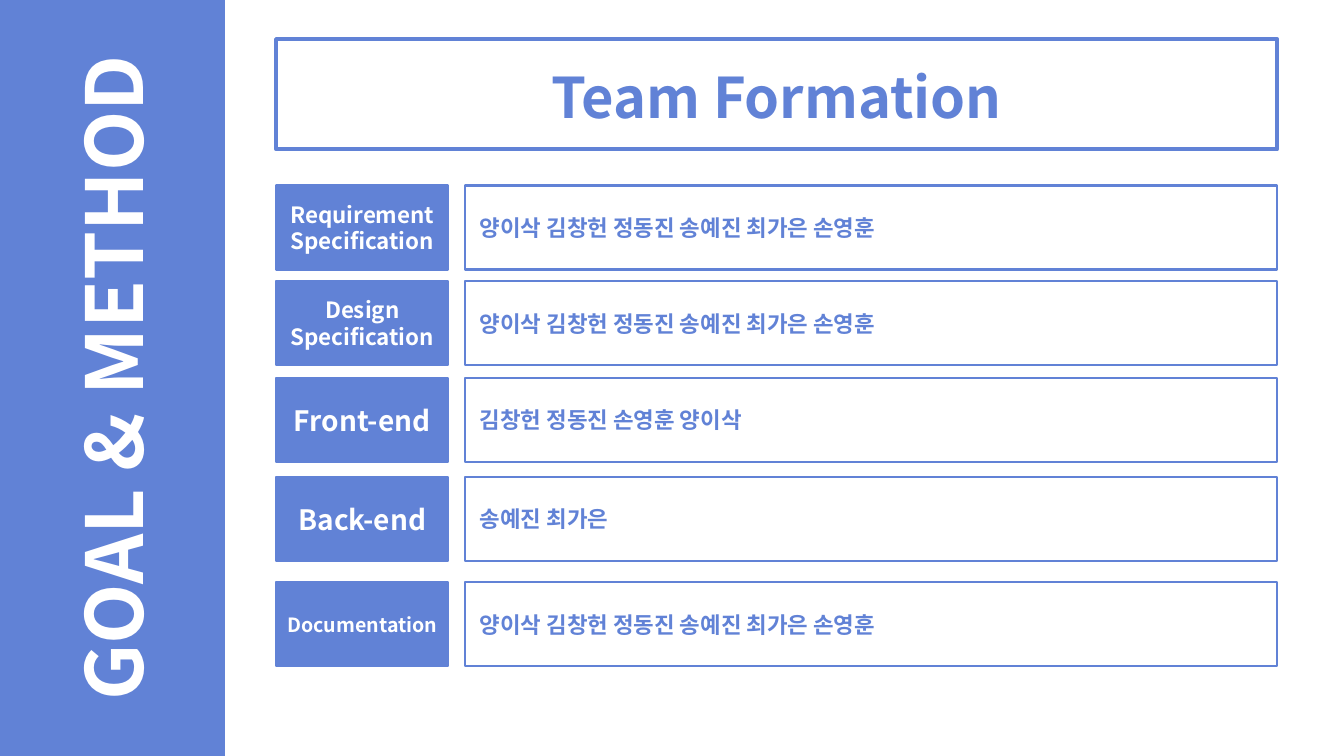
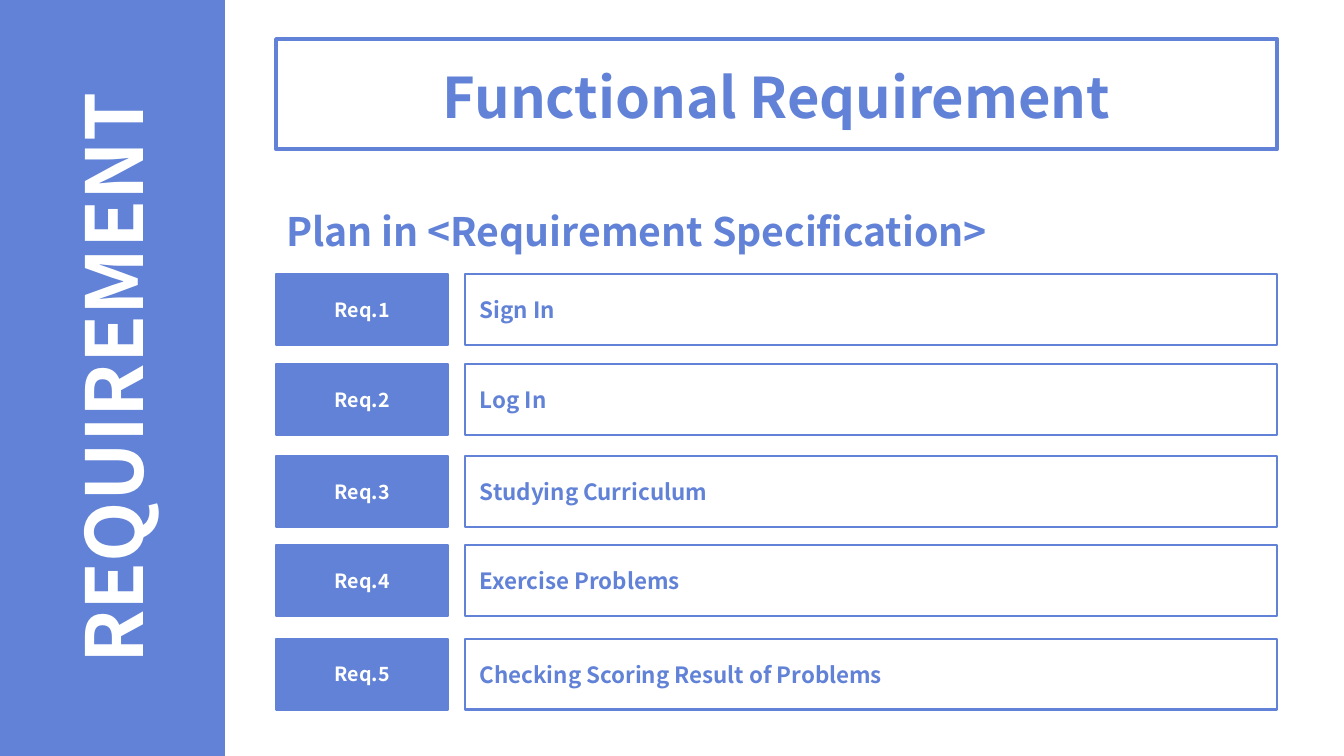
from lxml import etree
from pptx import Presentation
from pptx.dml.color import RGBColor
from pptx.enum.shapes import MSO_SHAPE
from pptx.enum.text import MSO_ANCHOR, PP_ALIGN
from pptx.oxml.ns import qn
from pptx.util import Pt

RECTANGLE = MSO_SHAPE.RECTANGLE
TOP, MIDDLE = MSO_ANCHOR.TOP, MSO_ANCHOR.MIDDLE
LEFT, CENTER = PP_ALIGN.LEFT, PP_ALIGN.CENTER

FONT = "Noto Sans CJK KR"
BLUE = "6182D6"
WHITE = "FFFFFF"

SLIDE_WIDTH, SLIDE_HEIGHT = 960, 540
BAND_WIDTH = 160
CONTENT_LEFT, CONTENT_WIDTH = 197.3, 715
LABEL_WIDTH = 123
VALUE_LEFT = 332
VALUE_WIDTH = CONTENT_LEFT + CONTENT_WIDTH - VALUE_LEFT

EVERYONE = "양이삭 김창헌 정동진 송예진 최가은 손영훈"

SLIDES = [
    {
        "section": "GOAL & METHOD",
        "heading": "Team Formation",
        "subheading": None,
        "row_height": 60,
        "rows": [
            (132.5, "Requirement\nSpecification", 16, EVERYONE),
            (200.9, "Design\nSpecification", 16, EVERYONE),
            (270, "Front-end", 20, "김창헌 정동진 손영훈 양이삭"),
            (340.6, "Back-end", 20, "송예진 최가은"),
            (416, "Documentation", 14, EVERYONE),
        ],
    },
    {
        "section": "REQUIREMENT",
        "heading": "Functional Requirement",
        "subheading": "Plan in <Requirement Specification>",
        "row_height": 50.5,
        "rows": [
            (195.8, "Req.1", 14, "Sign In"),
            (260, "Req.2", 14, "Log In"),
            (325.7, "Req.3", 14, "Studying Curriculum"),
            (389.5, "Req.4", 14, "Exercise Problems"),
            (456.3, "Req.5", 14, "Checking Scoring Result of Problems"),
        ],
    },
]


def add_rectangle(slide, left, top, width, height, fill=None, line_width=1.5):
    shape = slide.shapes.add_shape(RECTANGLE, Pt(left), Pt(top), Pt(width), Pt(height))
    shape.shadow.inherit = False
    if fill:
        shape.fill.solid()
        shape.fill.fore_color.rgb = RGBColor.from_string(fill)
    else:
        shape.fill.background()
    shape.line.color.rgb = RGBColor.from_string(BLUE)
    shape.line.width = Pt(line_width)
    return shape


def write_text(shape, text, size, color=BLUE, align=CENTER, anchor=MIDDLE,
               margin=7.2, line_spacing=None, space_before=None):
    frame = shape.text_frame
    frame.word_wrap = True
    frame.vertical_anchor = anchor
    frame.margin_left = frame.margin_right = Pt(margin)
    frame.text = text
    for paragraph in frame.paragraphs:
        paragraph.alignment = align
        if line_spacing:
            paragraph.line_spacing = line_spacing
        if space_before:
            paragraph.space_before = Pt(space_before)
        for run in paragraph.runs:
            run.font.size = Pt(size)
            run.font.bold = True
            run.font.color.rgb = RGBColor.from_string(color)
            run.font.name = FONT
            east_asian = etree.SubElement(run.font._element, qn("a:ea"))
            east_asian.set("typeface", FONT)


presentation = Presentation()
presentation.slide_width = Pt(SLIDE_WIDTH)
presentation.slide_height = Pt(SLIDE_HEIGHT)
blank_layout = presentation.slide_layouts[6]

for content in SLIDES:
    slide = presentation.slides.add_slide(blank_layout)

    add_rectangle(slide, 0, 0, BAND_WIDTH, SLIDE_HEIGHT, fill=BLUE)
    add_rectangle(slide, CONTENT_LEFT, 28, CONTENT_WIDTH, 78.7, line_width=3)

    offset = (SLIDE_HEIGHT - BAND_WIDTH) / 2
    section = slide.shapes.add_textbox(
        Pt(-offset), Pt(offset), Pt(SLIDE_HEIGHT), Pt(BAND_WIDTH))
    section.rotation = 270
    write_text(section, content["section"], 56, color=WHITE)

    heading = slide.shapes.add_textbox(
        Pt(CONTENT_LEFT), Pt(41), Pt(CONTENT_WIDTH), Pt(55))
    write_text(heading, content["heading"], 40, anchor=TOP)

    if content["subheading"]:
        subheading = slide.shapes.add_textbox(
            Pt(CONTENT_LEFT), Pt(128), Pt(CONTENT_WIDTH), Pt(60.5))
        write_text(subheading, content["subheading"], 28, align=LEFT, anchor=TOP,
                   line_spacing=1.5, space_before=5.6)

    height = content["row_height"]
    for top, label_text, label_size, value_text in content["rows"]:
        label = add_rectangle(slide, CONTENT_LEFT, top, LABEL_WIDTH, height, fill=BLUE)
        write_text(label, label_text, label_size, color=WHITE, margin=3.6)
        value = add_rectangle(slide, VALUE_LEFT, top, VALUE_WIDTH, height, fill=WHITE)
        write_text(value, value_text, 16, align=LEFT, margin=10.8)

presentation.save("out.pptx")
